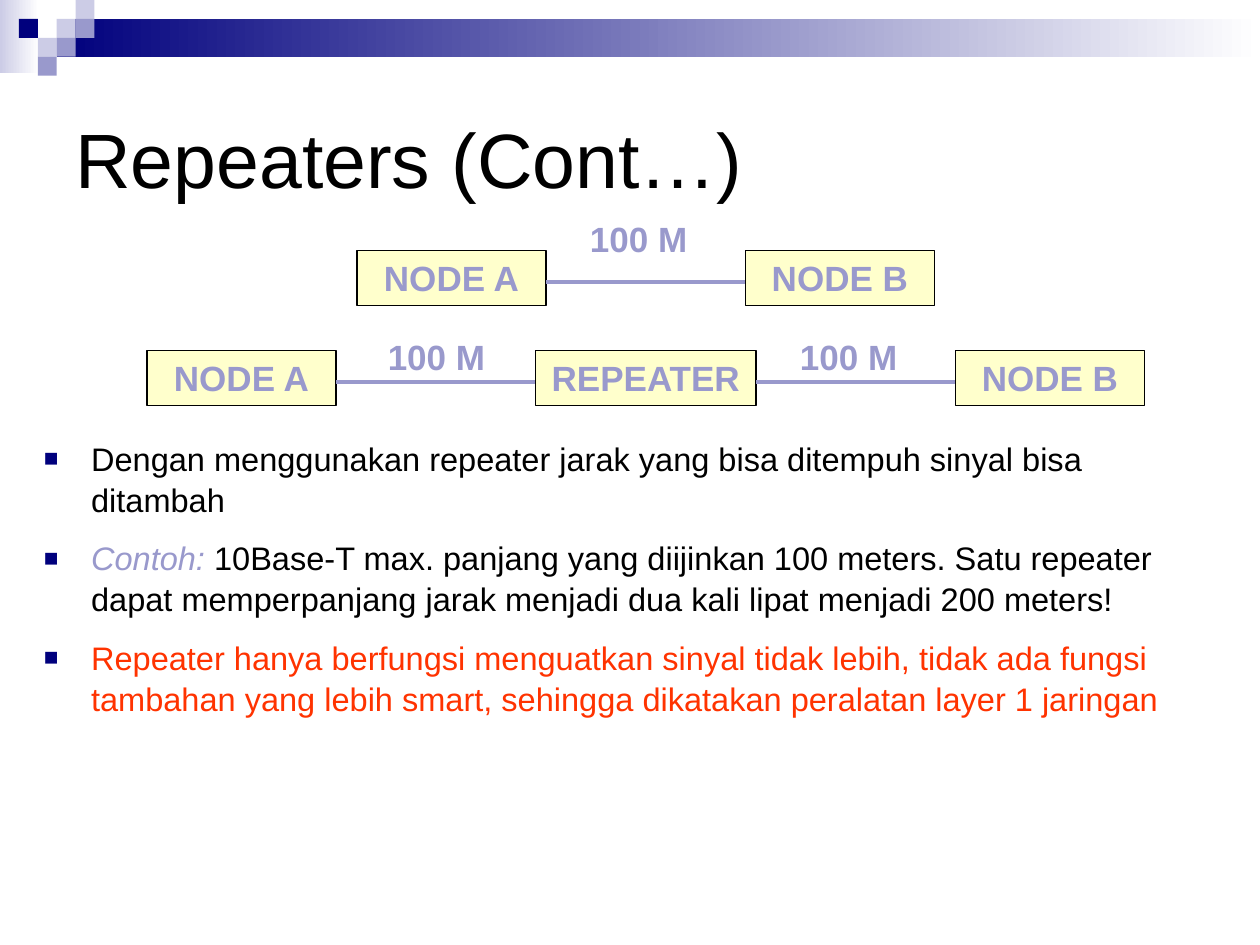
import pptx
import pptx.util
import pptx.dml.color
import pptx.enum.shapes
import pptx.enum.text
import pptx.oxml
import pptx.oxml.ns
import lxml.etree

Pt = pptx.util.Pt
ANCHOR = pptx.enum.text.MSO_ANCHOR
ALIGN = pptx.enum.text.PP_ALIGN

THEME = {
    "font": "Arial",
    "title size": 44, "body size": 18.6, "node size": 20,
    "text": "000000", "alert": "FF3300", "accent": "9999CC",
    "pale": "CCCCE6", "navy": "00007D", "white": "FFFFFF", "node": "FFFFCC",
}

TITLE = "Repeaters (Cont…)"
# Each bullet is a list of (text, colour, italic) spans.
BULLETS = [
    [("Dengan menggunakan repeater jarak yang bisa ditempuh sinyal bisa ditambah",
      "text", False)],
    [("Contoh:", "accent", True),
     (" 10Base-T max. panjang yang diijinkan 100 meters. Satu repeater dapat "
      "memperpanjang jarak menjadi dua kali lipat menjadi 200 meters!", "text", False)],
    [("Repeater hanya berfungsi menguatkan sinyal tidak lebih, tidak ada fungsi "
      "tambahan yang lebih smart, sehingga dikatakan peralatan layer 1 jaringan",
      "alert", False)],
]
# Nodes are (name, width); links are (label, label offset from the link's start).
CHAINS = [
    {"left": 84, "top": 200.2, "label top": 188,
     "nodes": [("NODE A", 108), ("REPEATER", 126), ("NODE B", 108)],
     "links": [("100 M", 22.5), ("100 M", 18)]},
    {"left": 204, "top": 143.3, "label top": 121,
     "nodes": [("NODE A", 108), ("NODE B", 108)],
     "links": [("100 M", 18)]},
]
LINK_LENGTH, LINK_DROP = 114, 18
NODE_HEIGHT, LABEL_WIDTH = 31.5, 84

SQUARE = 10.8
# Header squares as (column, row, colour).
SQUARES = [(3, 1, "pale"), (4, 0, "pale"), (4, 1, "accent"), (2, 2, "pale"),
           (1, 1, "navy"), (3, 2, "accent"), (2, 3, "accent")]


def color(name):
    return pptx.dml.color.RGBColor.from_string(THEME[name])


def place(left, top, width, height):
    return Pt(left), Pt(top), Pt(width), Pt(height)


def add_rectangle(page, area, fill):
    box = page.shapes.add_shape(pptx.enum.shapes.MSO_SHAPE.RECTANGLE, *place(*area))
    box.shadow.inherit = False
    box.fill.solid()
    box.fill.fore_color.rgb = color(fill)
    box.line.fill.background()
    return box


def add_fade(page, area, start):
    """Add a rectangle that fades from a colour at its left to white."""
    box = add_rectangle(page, area, start)
    box.fill.gradient()
    box.fill.gradient_angle = 0
    for stop, name in zip(box.fill.gradient_stops, (start, "white")):
        stop.color.rgb = color(name)


def style(font, size, name, bold=False):
    font.name = THEME["font"]
    font.size = Pt(THEME[size])
    font.color.rgb = color(name)
    font.bold = bold


def add_text_box(page, area, anchor=ANCHOR.TOP):
    box = page.shapes.add_textbox(*place(*area))
    box.text_frame.word_wrap = True
    box.text_frame.vertical_anchor = anchor
    return box


def write(box, text, size, name, bold=False, align=ALIGN.LEFT):
    para = box.text_frame.paragraphs[0]
    para.text = text
    para.alignment = align
    style(para.font, size, name, bold)


def add_link(page, left, right, height):
    link = page.shapes.add_connector(
        pptx.enum.shapes.MSO_CONNECTOR.STRAIGHT, Pt(left), Pt(height), Pt(right), Pt(height))
    link.line.color.rgb = color("accent")
    link.line.width = Pt(2.25)
    lxml.etree.SubElement(link._element.spPr, pptx.oxml.ns.qn("a:effectLst"))


def add_bullet(para):
    properties = para._p.get_or_add_pPr()
    properties.set("marL", str(Pt(27)))
    properties.set("indent", str(Pt(-27)))
    namespace = pptx.oxml.ns.nsdecls("a")
    for xml in (
        f'<a:buClr {namespace}><a:srgbClr val="{THEME["navy"]}"/></a:buClr>',
        f'<a:buSzPct {namespace} val="75000"/>',
        f'<a:buFont {namespace} typeface="{THEME["font"]}"/>',
        f'<a:buChar {namespace} char="■"/>',
    ):
        properties.append(pptx.oxml.parse_xml(xml))


def draw_header(page):
    add_fade(page, (0, 0, 22.3, 41.8), "pale")
    add_fade(page, (3 * SQUARE, SQUARE, 720 - 3 * SQUARE, 2 * SQUARE), "navy")
    for column, row, name in SQUARES:
        add_rectangle(page, (column * SQUARE, row * SQUARE, SQUARE, SQUARE), name)


def draw_bullets(page):
    frame = add_text_box(page, (18, 246.2, 684, 174.2)).text_frame
    for index, spans in enumerate(BULLETS):
        para = frame.add_paragraph() if index else frame.paragraphs[0]
        para.space_before = para.space_after = Pt(5)
        para.line_spacing = 1.05
        add_bullet(para)
        for text, name, italic in spans:
            span = para.add_run()
            span.text = text
            style(span.font, "body size", name)
            span.font.italic = italic


def draw_chain(page, chain):
    left, top = chain["left"], chain["top"]
    for index, (name, width) in enumerate(chain["nodes"]):
        node = add_rectangle(page, (left, top, width, NODE_HEIGHT), "node")
        node.line.color.rgb = color("text")
        node.line.width = Pt(0.75)
        node.text_frame.vertical_anchor = ANCHOR.TOP
        write(node, name, "node size", "accent", True, ALIGN.CENTER)
        left += width
        if index < len(chain["links"]):
            label, offset = chain["links"][index]
            add_link(page, left, left + LINK_LENGTH, top + LINK_DROP)
            box = add_text_box(
                page, (left + offset, chain["label top"], LABEL_WIDTH, NODE_HEIGHT))
            write(box, label, "node size", "accent", True)
            left += LINK_LENGTH


def main():
    deck = pptx.Presentation()
    deck.slide_width, deck.slide_height = Pt(720), Pt(540)
    page = deck.slides.add_slide(deck.slide_layouts[6])
    draw_header(page)
    title = add_text_box(page, (36, 36, 648, 108), ANCHOR.MIDDLE)
    write(title, TITLE, "title size", "text")
    draw_bullets(page)
    for chain in CHAINS:
        draw_chain(page, chain)
    deck.save("out.pptx")


if __name__ == "__main__":
    main()
